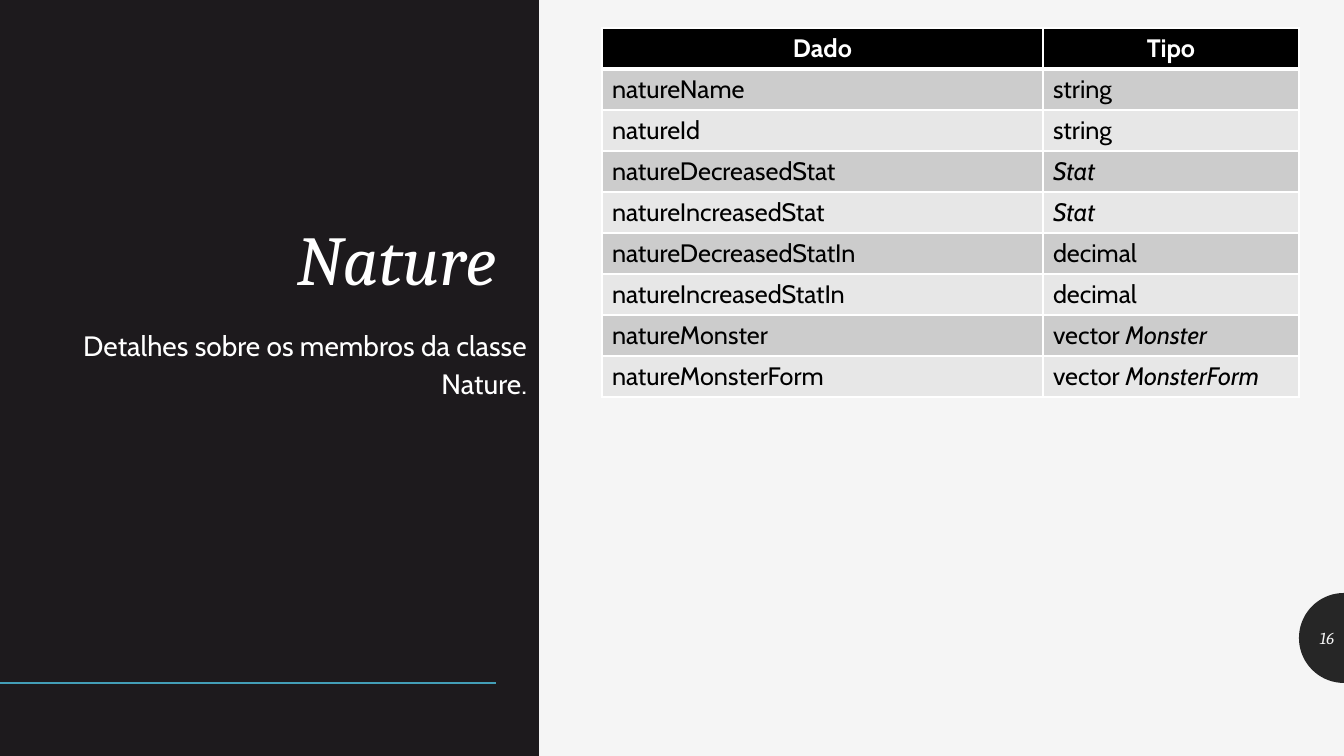
import math

from lxml import etree
from pptx import Presentation
from pptx import util as u
from pptx.dml.color import RGBColor
from pptx.enum import shapes, text
from pptx.oxml.ns import qn

SCALE = 914400 / 100.8
WIDTH, HEIGHT = 1344, 756
BODY_FONT, TITLE_FONT = "Cabin", "Cambria"
WHITE, BLACK, PAPER = "FFFFFF", "000000", "F5F5F5"
PANEL, BADGE, ACCENT = "1D1A1D", "262626", "439EB7"
BANDS = ["CCCCCC", "E7E7E7"]

# Each type is a plain part and an italic part
MEMBERS = [
    ("natureName", "string", ""),
    ("natureId", "string", ""),
    ("natureDecreasedStat", "", "Stat"),
    ("natureIncreasedStat", "", "Stat"),
    ("natureDecreasedStatIn", "decimal", ""),
    ("natureIncreasedStatIn", "decimal", ""),
    ("natureMonster", "vector ", "Monster"),
    ("natureMonsterForm", "vector ", "MonsterForm"),
]


def px(value):
    return u.Emu(round(value * SCALE))


def rgb(value):
    return RGBColor.from_string(value)


def paint(shape, colour):
    shape.shadow.inherit = False
    shape.fill.solid()
    shape.fill.fore_color.rgb = rgb(colour)
    shape.line.fill.background()


def style(para, font, size, colour, align=text.PP_ALIGN.LEFT, bold=False, italic=None):
    para.alignment = align
    para.font.name = font
    para.font.size = u.Pt(size)
    para.font.color.rgb = rgb(colour)
    para.font.bold = bold
    para.font.italic = italic


def fill_text(box, words, anchor, font, size, colour, italic=None):
    frame = box.text_frame
    frame.word_wrap = True
    frame.auto_size = text.MSO_AUTO_SIZE.NONE
    frame.vertical_anchor = anchor
    frame.text = words
    para = frame.paragraphs[0]
    style(para, font, size, colour, text.PP_ALIGN.RIGHT, italic=italic)
    return para


def add_text(page, place, *details, **options):
    box = page.shapes.add_textbox(*map(px, place))
    return fill_text(box, *details, **options)


def add_panel(page, place, colour):
    panel = page.shapes.add_shape(shapes.MSO_SHAPE.RECTANGLE, *map(px, place))
    paint(panel, colour)


def add_line(page, start, end, colour, points):
    line = page.shapes.add_connector(
        shapes.MSO_CONNECTOR.STRAIGHT, *map(px, (*start, *end)))
    line.line.color.rgb = rgb(colour)
    line.line.width = u.Pt(points)
    etree.SubElement(line.element.spPr, qn("a:effectLst"))


def add_half_disc(page, centre_x, centre_y, radius, colour):
    angles = [math.radians(degrees) for degrees in range(90, 271, 5)]
    points = [(px(centre_x + radius * math.cos(angle)),
               px(centre_y + radius * math.sin(angle))) for angle in angles]
    outline = page.shapes.build_freeform(*points[0], scale=1.0)
    outline.add_line_segments(points[1:], close=True)
    paint(outline.convert_to_shape(), colour)


def dress_cell(cell, colour, bottom=1):
    # Borders must come before the fill in the cell's XML
    properties = cell._tc.get_or_add_tcPr()
    for side, points in (("L", 1), ("R", 1), ("T", 1), ("B", bottom)):
        border = etree.SubElement(properties, qn(f"a:ln{side}"), w=str(u.Pt(points)))
        solid = etree.SubElement(border, qn("a:solidFill"))
        etree.SubElement(solid, qn("a:srgbClr"), val=WHITE)
    cell.fill.solid()
    cell.fill.fore_color.rgb = rgb(colour)


def add_members_table(page, left, top, widths, row_height):
    count = len(MEMBERS) + 1
    table = page.shapes.add_table(
        count, len(widths), px(left), px(top),
        px(sum(widths)), px(row_height * count)).table
    for column, width in zip(table.columns, widths):
        column.width = px(width)
    for row in table.rows:
        row.height = px(row_height)

    # Header
    for cell, heading in zip(table.rows[0].cells, ("Dado", "Tipo")):
        cell.text = heading
        style(cell.text_frame.paragraphs[0], BODY_FONT, 18, WHITE,
              text.PP_ALIGN.CENTER, bold=True)
        dress_cell(cell, BLACK, bottom=3)

    # Members, in alternating bands
    for index, (name, plain, slanted) in enumerate(MEMBERS):
        name_cell, type_cell = table.rows[index + 1].cells
        for cell, parts in ((name_cell, (name, "")), (type_cell, (plain, slanted))):
            para = cell.text_frame.paragraphs[0]
            style(para, BODY_FONT, 18, BLACK)
            for words, italic in zip(parts, (False, True)):
                if words:
                    span = para.add_run()
                    span.text = words
                    span.font.italic = italic
            dress_cell(cell, BANDS[index % 2])


def add_title(page, place, words):
    title = page.shapes.title
    title.left, title.top, title.width, title.height = map(px, place)
    para = fill_text(title, words, text.MSO_ANCHOR.BOTTOM,
                     TITLE_FONT, 50, WHITE, italic=True)
    para.line_spacing = 0.9
    # Bring the title in front of the panel
    title.element.getparent().append(title.element)


def main():
    deck = Presentation()
    deck.slide_width, deck.slide_height = px(WIDTH), px(HEIGHT)
    page = deck.slides.add_slide(deck.slide_layouts[5])
    page.background.fill.solid()
    page.background.fill.fore_color.rgb = rgb(PAPER)

    # Left panel
    add_panel(page, (0, 0, 539, HEIGHT), PANEL)
    add_line(page, (0, 683), (496, 683), ACCENT, 2)
    add_title(page, (84, 61, 422, 245), "Nature")
    para = add_text(page, (0, 320, 537, 314),
                    "Detalhes sobre os membros da classe Nature.",
                    text.MSO_ANCHOR.TOP, BODY_FONT, 20, WHITE)
    para.line_spacing = 1.12
    para.space_before = u.Pt(9)

    # Page number
    add_half_disc(page, WIDTH, 638, 45, BADGE)
    add_text(page, (1299, 618, 45, 40), "16", text.MSO_ANCHOR.MIDDLE,
             TITLE_FONT, 12, PAPER, italic=True)

    # Class members
    add_members_table(page, 602, 28, (441, 256), 41)

    deck.save("out.pptx")


main()
